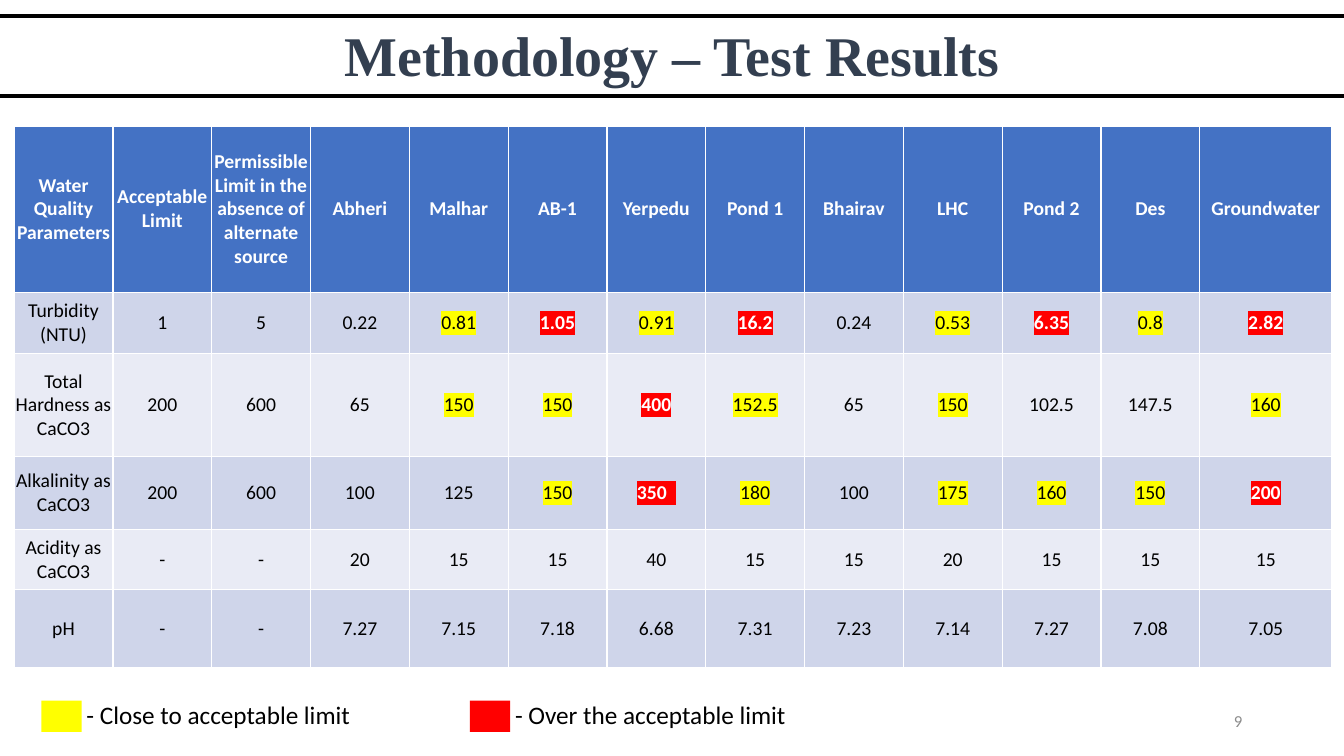
from lxml import etree
from pptx import Presentation
from pptx.dml.color import RGBColor
from pptx.enum import shapes, text
from pptx.oxml.ns import qn
from pptx.util import Inches, Pt

YELLOW, RED, BLACK, WHITE = "FFFF00", "FF0000", "000000", "FFFFFF"
HEADER_FILL, BAND_FILLS = "4472C4", ("CFD5EA", "E9EBF5")

# A value marked ~ is close to the acceptable limit, one marked ! is over it.
RESULTS = [
    ["Water Quality Parameters", "Acceptable Limit",
     "Permissible Limit in the absence of alternate source",
     "Abheri", "Malhar", "AB-1", "Yerpedu", "Pond 1", "Bhairav", "LHC",
     "Pond 2", "Des", "Groundwater"],
    ["Turbidity (NTU)", "1", "5", "0.22", "~0.81", "!1.05", "~0.91",
     "!16.2", "0.24", "~0.53", "!6.35", "~0.8", "!2.82"],
    ["Total Hardness as CaCO3", "200", "600", "65", "~150", "~150", "!400",
     "~152.5", "65", "~150", "102.5", "147.5", "~160"],
    ["Alkalinity as CaCO3", "200", "600", "100", "125", "~150", "!350  ",
     "~180", "100", "~175", "~160", "~150", "!200"],
    ["Acidity as CaCO3", "-", "-", "20", "15", "15", "40",
     "15", "15", "20", "15", "15", "15"],
    ["pH", "-", "-", "7.27", "7.15", "7.18", "6.68",
     "7.31", "7.23", "7.14", "7.27", "7.08", "7.05"],
]
HIGHLIGHTS = {"~": YELLOW, "!": RED}
COLUMN_WIDTHS = [0.98] * 12 + [1.31]
ROW_HEIGHTS = [1.65, 0.61, 1.02, 0.72, 0.6, 0.77]


def color(hex_string):
    return RGBColor.from_string(hex_string)


def style_font(font, size, hex_string, bold=False, name="Calibri"):
    font.name, font.size, font.bold = name, Pt(size), bold
    font.color.rgb = color(hex_string)


presentation = Presentation()
presentation.slide_width, presentation.slide_height = Inches(13.33), Inches(7.5)
slide = presentation.slides.add_slide(presentation.slide_layouts[5])

# Title between two rules
title = slide.shapes.title
title.left, title.top = Inches(0), Inches(0.15)
title.width, title.height = Inches(13.33), Inches(0.77)
title.text_frame.text = "Methodology – Test Results"
title.text_frame.vertical_anchor = text.MSO_ANCHOR.TOP
title.text_frame.auto_size = text.MSO_AUTO_SIZE.NONE
paragraph = title.text_frame.paragraphs[0]
paragraph.alignment = text.PP_ALIGN.CENTER
style_font(paragraph.font, 40, "333F50", True, "Times New Roman")

for y in (0.16, 0.95):
    rule = slide.shapes.add_connector(
        shapes.MSO_CONNECTOR.STRAIGHT, Inches(0), Inches(y), Inches(13.33), Inches(y))
    rule.line.color.rgb = color(BLACK)
    rule.line.width = Pt(3)
    etree.SubElement(rule._element.spPr, qn("a:effectLst"))

# Results table
table = slide.shapes.add_table(
    len(RESULTS), len(COLUMN_WIDTHS), Inches(0.14), Inches(1.25),
    Inches(sum(COLUMN_WIDTHS)), Inches(sum(ROW_HEIGHTS))).table
for column, width in zip(table.columns, COLUMN_WIDTHS):
    column.width = Inches(width)
for row, height in zip(table.rows, ROW_HEIGHTS):
    row.height = Inches(height)

for row_index, values in enumerate(RESULTS):
    is_header = row_index == 0
    for column_index, value in enumerate(values):
        cell = table.cell(row_index, column_index)
        cell.margin_left = cell.margin_right = cell.margin_top = cell.margin_bottom = 0
        cell.vertical_anchor = text.MSO_ANCHOR.MIDDLE
        cell.fill.solid()
        cell.fill.fore_color.rgb = color(
            HEADER_FILL if is_header else BAND_FILLS[(row_index - 1) % 2])
        paragraph = cell.text_frame.paragraphs[0]
        paragraph.alignment = text.PP_ALIGN.CENTER
        run = paragraph.add_run()
        run.text = value.lstrip("~!")
        highlight = HIGHLIGHTS.get(value[0])
        strong = is_header or highlight == RED
        style_font(run.font, 14, WHITE if strong else BLACK, strong)
        if highlight:
            mark = etree.Element(qn("a:highlight"))
            etree.SubElement(mark, qn("a:srgbClr"), val=highlight)
            run.font._element.find(qn("a:solidFill")).addnext(mark)

# Legend
for x, fill, label in ((0.41, YELLOW, "- Close to acceptable limit"),
                       (4.66, RED, "- Over the acceptable limit")):
    swatch = slide.shapes.add_shape(
        shapes.MSO_SHAPE.RECTANGLE, Inches(x), Inches(6.95), Inches(0.4), Inches(0.31))
    swatch.shadow.inherit = False
    swatch.fill.solid()
    swatch.fill.fore_color.rgb = color(fill)
    swatch.line.fill.background()
    legend = slide.shapes.add_textbox(
        Inches(x + 0.35), Inches(6.89), Inches(3.5), Inches(0.4))
    legend.text_frame.word_wrap = True
    legend.text_frame.text = label
    style_font(legend.text_frame.paragraphs[0].font, 18, BLACK)

# Slide number
number = slide.shapes.add_textbox(Inches(9.42), Inches(6.95), Inches(3), Inches(0.4))
number.text_frame.word_wrap = True
number.text_frame.vertical_anchor = text.MSO_ANCHOR.MIDDLE
number.text_frame.text = "9"
paragraph = number.text_frame.paragraphs[0]
paragraph.alignment = text.PP_ALIGN.RIGHT
style_font(paragraph.font, 12, "8C8C8C")

presentation.save("out.pptx")
